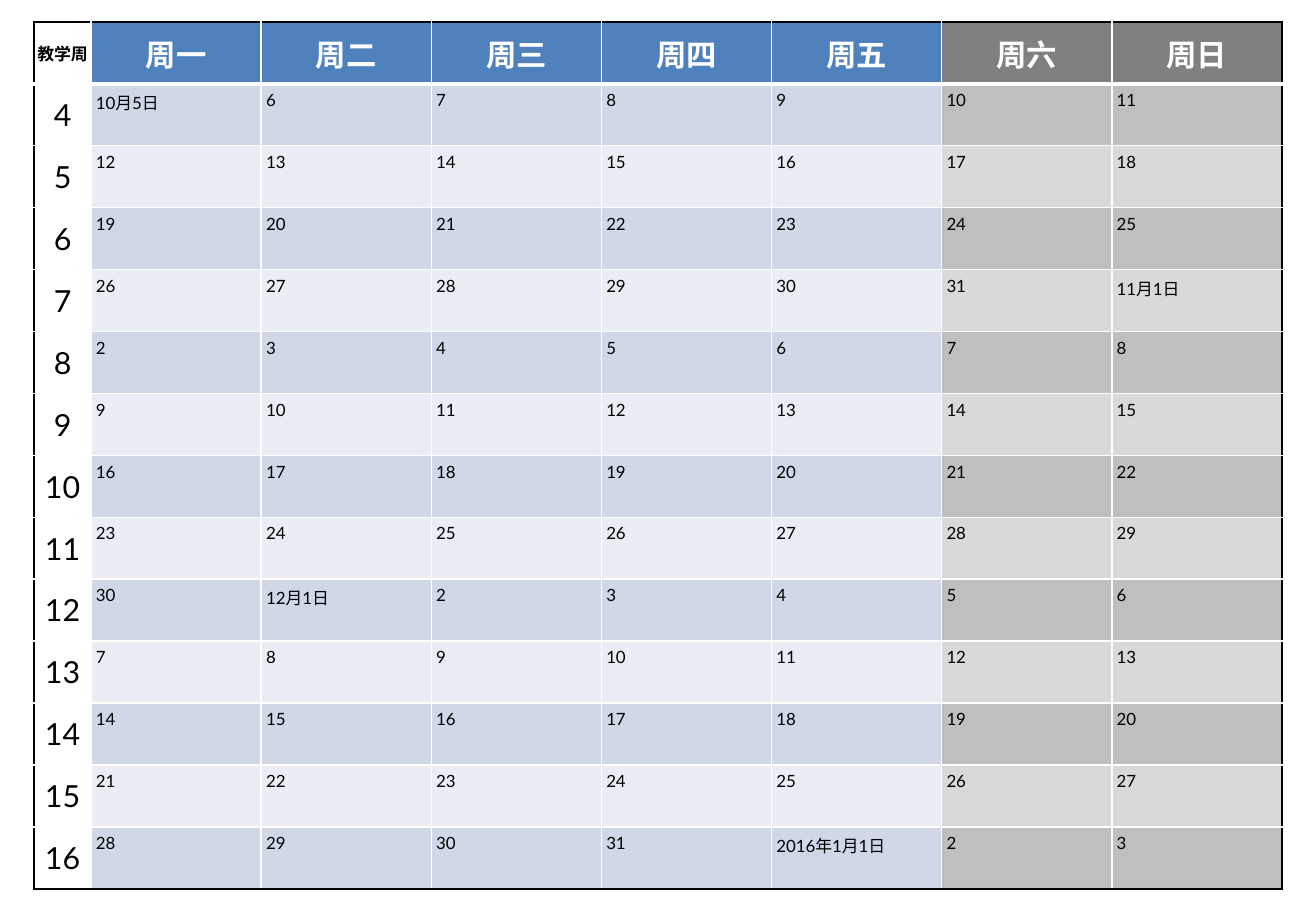
from lxml.etree import SubElement
from pptx import Presentation
from pptx.dml.color import RGBColor
from pptx.enum.text import MSO_ANCHOR as Anchor, PP_ALIGN as Align
from pptx.oxml.ns import qn
from pptx.util import Inches, Pt

WHITE = RGBColor(0xFF, 0xFF, 0xFF)
BLACK = RGBColor(0x00, 0x00, 0x00)
WEEKDAY_HEADER = RGBColor(0x4F, 0x81, 0xBD)
WEEKEND_HEADER = RGBColor(0x80, 0x80, 0x80)
WEEKDAY_BANDS = (RGBColor(0xD0, 0xD8, 0xE8), RGBColor(0xE9, 0xED, 0xF4))
WEEKEND_BANDS = (RGBColor(0xBF, 0xBF, 0xBF), RGBColor(0xD9, 0xD9, 0xD9))

FONT = "Lato"
HEADERS = ["教学周"] + ["周" + day for day in "一二三四五六日"]
FIRST_WEEK, LAST_WEEK = 4, 16
MONTHS = [("10月", 5, 31), ("11月", 1, 30), ("12月", 1, 31), ("2016年1月", 1, 3)]
WEEK_WIDTH, DAY_WIDTH, ROW_HEIGHT = Inches(0.47), Inches(1.4), Inches(0.51)

CENTRED = {"vertical_anchor": Anchor.MIDDLE, "margin_left": 0, "margin_right": 0,
           "margin_top": 0, "margin_bottom": 0}
DATED = {"vertical_anchor": Anchor.TOP,
         "margin_left": Inches(0.04), "margin_right": Inches(0.04),
         "margin_top": Inches(0.05), "margin_bottom": Inches(0.05)}


def set_attributes(target, values):
    """Set every attribute of the target named in values."""
    for name, value in values.items():
        setattr(target, name, value)


def calendar_rows():
    """Return the header row and one row per teaching week."""
    dates = [f"{month}{day}日" if day == first else str(day)
             for month, first, last in MONTHS
             for day in range(first, last + 1)]
    weeks = range(FIRST_WEEK, LAST_WEEK + 1)
    return [HEADERS] + [[str(week)] + dates[7 * index:7 * index + 7]
                        for index, week in enumerate(weeks)]


def cell_fill(row, column):
    """Return the fill colour for a place in the calendar."""
    if column == 0:
        return WHITE
    weekend = column > 5
    if row == 0:
        return WEEKEND_HEADER if weekend else WEEKDAY_HEADER
    return (WEEKEND_BANDS if weekend else WEEKDAY_BANDS)[(row - 1) % 2]


def add_border(cell, side, color, width):
    """Draw one solid border on a cell."""
    properties = cell._tc.get_or_add_tcPr()
    line = SubElement(properties, qn(f"a:ln{side}"), w=str(Pt(width)))
    fill = SubElement(line, qn("a:solidFill"))
    SubElement(fill, qn("a:srgbClr"), val=str(color))


def format_cell(cell, row, column, last_row, last_column):
    """Apply the borders, fill and margins of a calendar cell."""
    outer_edges = {"L": column == 0, "R": column == last_column,
                   "T": row == 0, "B": row == last_row}
    header_edge = {0: "B", 1: "T"}.get(row)
    for side, outer in outer_edges.items():
        add_border(cell, side, BLACK if outer else WHITE, 3 if side == header_edge else 1)
    cell.fill.solid()
    cell.fill.fore_color.rgb = cell_fill(row, column)
    set_attributes(cell, CENTRED if row == 0 or column == 0 else DATED)


def write_cell(cell, text, row, column):
    """Write the text of a calendar cell in its own style."""
    header, week = row == 0, column == 0
    paragraph = cell.text_frame.paragraphs[0]
    paragraph.alignment = Align.CENTER if header or week else Align.LEFT
    run = paragraph.add_run()
    run.text = text
    large = header != week
    set_attributes(run.font, {"name": FONT, "size": Pt(18 if large else 10), "bold": header})
    run.font.color.rgb = WHITE if header and not week else BLACK


def add_calendar(slide, rows):
    """Add the teaching calendar as a table."""
    row_count, column_count = len(rows), len(HEADERS)
    width = WEEK_WIDTH + 7 * DAY_WIDTH
    table = slide.shapes.add_table(row_count, column_count, Inches(0.28), Inches(0.18),
                                   width, ROW_HEIGHT * row_count).table
    for index, column in enumerate(table.columns):
        column.width = DAY_WIDTH if index else WEEK_WIDTH
    for row, texts in enumerate(rows):
        table.rows[row].height = ROW_HEIGHT
        for column, text in enumerate(texts):
            cell = table.cell(row, column)
            format_cell(cell, row, column, row_count - 1, column_count - 1)
            write_cell(cell, text, row, column)


def main():
    """Build the calendar slide and save it."""
    presentation = Presentation()
    set_attributes(presentation, {"slide_width": Inches(10.83), "slide_height": Inches(7.5)})
    slide = presentation.slides.add_slide(presentation.slide_layouts[6])
    add_calendar(slide, calendar_rows())
    presentation.save("out.pptx")


main()
